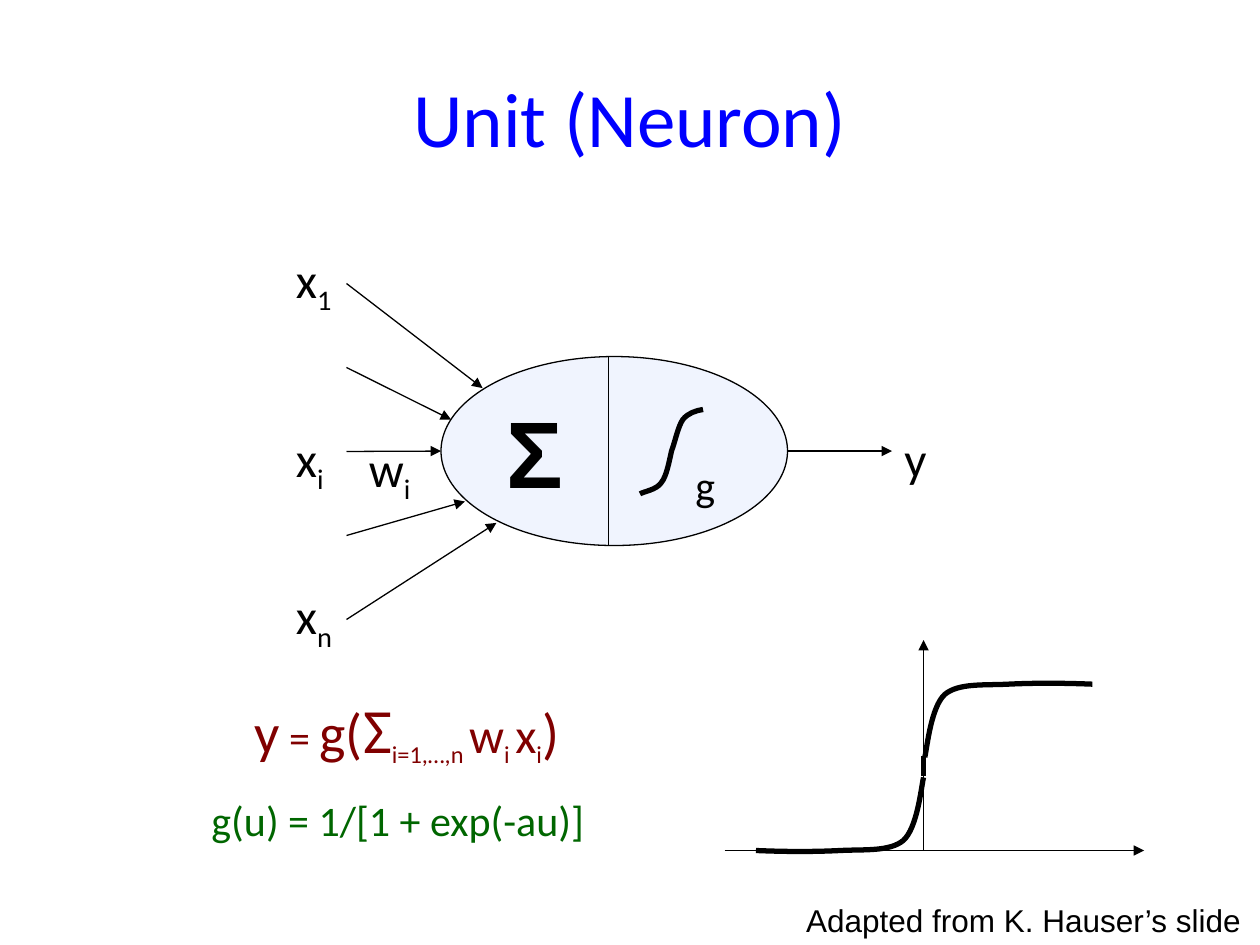
from lxml.etree import SubElement
from pptx import Presentation
from pptx.dml.color import RGBColor
from pptx.enum.shapes import MSO_CONNECTOR, MSO_SHAPE
from pptx.enum.text import MSO_ANCHOR, MSO_AUTO_SIZE, PP_ALIGN
from pptx.oxml.ns import qn
from pptx.util import Inches, Pt

BLACK = RGBColor(0x00, 0x00, 0x00)
BLUE = RGBColor(0x00, 0x00, 0xFF)
PALE_BLUE = RGBColor(0xF0, 0xF4, 0xFE)
MAROON = RGBColor(0x80, 0x00, 0x00)
GREEN = RGBColor(0x00, 0x66, 0x00)
THIN, THICK = 0.75, 3


def style_line(shape, width):
    shape.line.color.rgb = BLACK
    shape.line.width = Pt(width)


def style_run(r, size, color=BLACK, font="Calibri", bold=False, sub=False):
    r.font.size = Pt(size)
    r.font.name = font
    r.font.color.rgb = color
    r.font.bold = bold
    if sub:
        r._r.get_or_add_rPr().set("baseline", "-25000")


def add_text(shapes, box, runs, **style):
    """Add a one-line box; each run is (text, size) or (text, size, is_subscript)."""
    tb = shapes.add_textbox(*map(Inches, box))
    tf = tb.text_frame
    tf.word_wrap = False
    tf.auto_size = MSO_AUTO_SIZE.SHAPE_TO_FIT_TEXT
    p = tf.paragraphs[0]
    for text, size, *sub in runs:
        r = p.add_run()
        r.text = text
        style_run(r, size, sub=bool(sub and sub[0]), **style)


def add_line(shapes, start, end, width=THIN, arrow=True):
    cn = shapes.add_connector(MSO_CONNECTOR.STRAIGHT, *map(Inches, start + end))
    style_line(cn, width)
    if arrow:
        SubElement(cn.line._get_or_add_ln(), qn("a:tailEnd"), type="triangle")
    SubElement(cn._element.spPr, qn("a:effectLst"))


def add_curve(shapes, points):
    """Draw a Bezier curve: a start point, then three points for each segment."""
    emu = [(Inches(x), Inches(y)) for x, y in points]
    builder = shapes.build_freeform(*emu[0])
    builder.add_line_segments(emu[1:], close=False)
    sp = builder.convert_to_shape()
    sp.shadow.inherit = False
    sp.fill.background()
    style_line(sp, THICK)
    # Join each three straight segments into one cubic segment
    path = sp._element.find(".//" + qn("a:path"))
    segments = path.findall(qn("a:lnTo"))
    for i in range(0, len(segments), 3):
        cubic = SubElement(path, qn("a:cubicBezTo"))
        for segment in segments[i:i + 3]:
            cubic.append(segment[0])
            path.remove(segment)


def add_title(slide, text):
    title = slide.shapes.title
    title.left, title.top, title.width, title.height = map(Inches, (0.5, 0.3, 9, 1.25))
    tf = title.text_frame
    tf.text = text
    tf.vertical_anchor = MSO_ANCHOR.MIDDLE
    p = tf.paragraphs[0]
    p.alignment = PP_ALIGN.CENTER
    style_run(p.runs[0], 44, BLUE)


def add_neuron(shapes):
    # Cell body with its sum and activation halves
    body = shapes.add_shape(MSO_SHAPE.OVAL, *map(Inches, (3.5, 2.83, 2.75, 1.5)))
    body.shadow.inherit = False
    body.fill.solid()
    body.fill.fore_color.rgb = PALE_BLUE
    style_line(body, THIN)
    add_line(shapes, (4.83, 2.83), (4.83, 4.33), arrow=False)
    add_curve(shapes, [(5.58, 3.25), (5.52, 3.26), (5.46, 3.28), (5.42, 3.33),
                       (5.38, 3.39), (5.36, 3.5), (5.33, 3.58),
                       (5.31, 3.67), (5.29, 3.78), (5.25, 3.83),
                       (5.21, 3.89), (5.11, 3.9), (5.08, 3.92)])
    add_text(shapes, (3.92, 3.08, 0.65, 1), [("Σ", 54)], font="Arial", bold=True)

    # Evenly spaced inputs and the output
    tips = [(3.83, 3.08), (3.58, 3.33), (3.5, 3.58), (3.69, 3.98), (3.94, 4.15)]
    for i, tip in enumerate(tips):
        add_line(shapes, (2.75, 2.25 + i * 2 / 3), tip)
    add_line(shapes, (6.25, 3.58), (7.08, 3.58))

    # Labels
    add_text(shapes, (5.42, 3.6, 0.36, 0.51), [("g", 24)])
    add_text(shapes, (7.08, 3.35, 0.38, 0.57), [("y", 28)])
    for name, index, left, top, width in [("x", "i", 2.25, 3.35, 0.45),
                                          ("x", "1", 2.25, 1.93, 0.51),
                                          ("x", "n", 2.25, 4.6, 0.51),
                                          ("w", "i", 2.83, 3.43, 0.56)]:
        add_text(shapes, (left, top, width, 0.57), [(name, 28), (index, 28, True)])


def add_sigmoid_plot(shapes):
    # Axes
    add_line(shapes, (5.75, 6.75), (9.08, 6.75))
    add_line(shapes, (7.33, 6.75), (7.33, 5.08))

    # The upper half is the lower half turned about the midpoint
    lower = [(6, 6.75), (6.24, 6.76), (6.47, 6.76), (6.67, 6.75),
             (6.86, 6.74), (7.06, 6.76), (7.17, 6.67),
             (7.28, 6.57), (7.31, 6.26), (7.33, 6.17)]
    add_curve(shapes, lower)
    add_curve(shapes, [(14.67 - x, 12.18 - y) for x, y in lower])
    add_line(shapes, (7.33, 6), (7.33, 6.16), THICK, arrow=False)


def main():
    prs = Presentation()
    prs.slide_width, prs.slide_height = Inches(10), Inches(7.5)
    s = prs.slides.add_slide(prs.slide_layouts[5])
    add_title(s, "Unit (Neuron)")
    add_neuron(s.shapes.add_group_shape().shapes)

    # Formulas
    add_text(s.shapes, (1.92, 5.43, 2.78, 0.71),
             [("y", 32), (" = ", 24), ("g(", 32), ("Σ", 36), ("i=1,…,n ", 24, True),
              ("w", 28), ("i ", 24, True), ("x", 28), ("i", 24, True), (")", 32)],
             color=MAROON)
    add_text(s.shapes, (1.58, 6.26, 3.19, 0.5), [("g(u) = 1/[1 + exp(-au)]", 24)],
             color=GREEN)

    add_sigmoid_plot(s.shapes.add_group_shape().shapes)
    add_text(s.shapes, (6.3, 7.1, 3.7, 0.4), [("Adapted from K. Hauser’s slide", 18)],
             font="Arial")
    prs.save("out.pptx")


if __name__ == "__main__":
    main()
